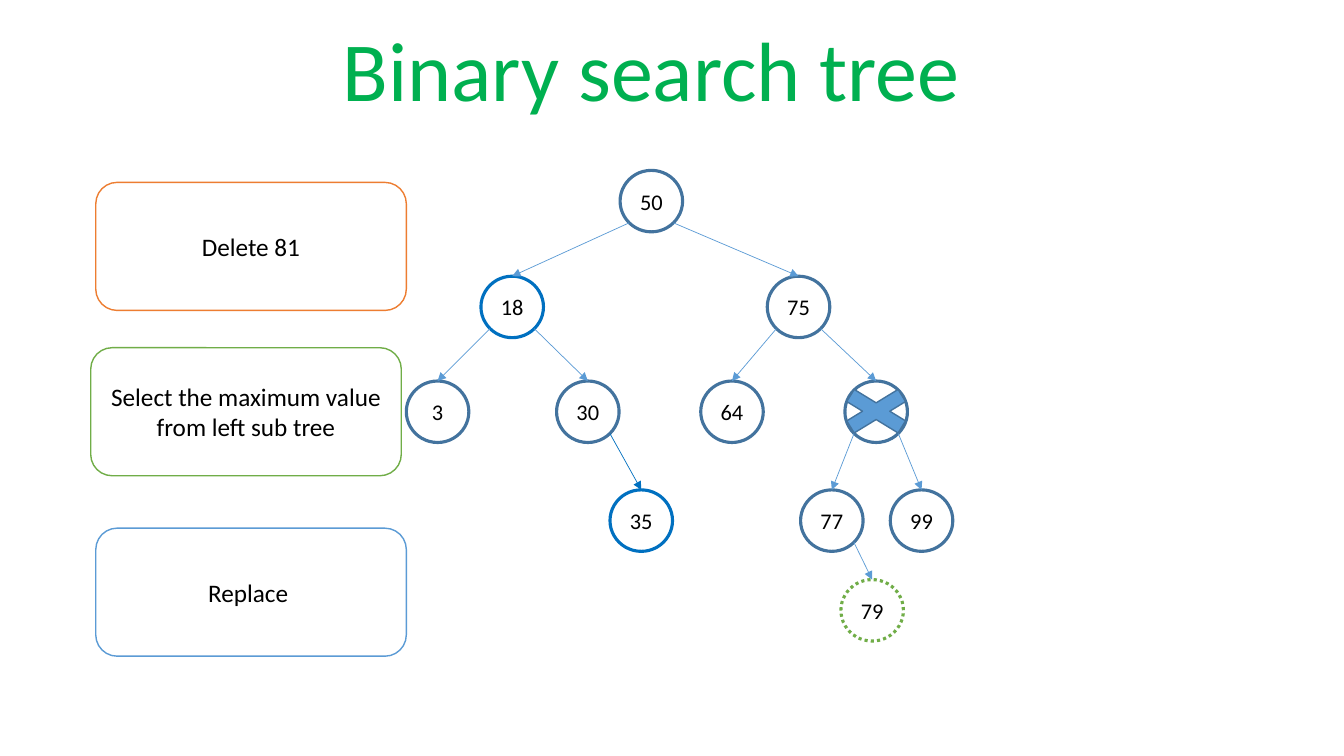
"""Build a slide on deleting a node from a binary search tree."""
import lxml.etree
import pptx
import pptx.dml.color
import pptx.enum.dml
import pptx.enum.shapes
import pptx.enum.text
import pptx.oxml.ns
import pptx.util

PX = 9144
COLORS = {
    "title": "00B050", "text": "000000", "paper": "FFFFFF", "navy": "43739E",
    "blue": "0070C0", "sky": "5B9BD5", "green": "70AD47", "orange": "ED7D31",
}
SHAPES = pptx.enum.shapes.MSO_SHAPE
CENTER = pptx.enum.text.PP_ALIGN.CENTER
NODE_W, NODE_H = 62, 61
BOX_W, BOX_H = 308, 127
CORNER = 0.146


def write(holder, text, size, color, anchor, spacing=None):
    frame = holder.text_frame
    frame.text = text
    paragraph = frame.paragraphs[0]
    formats = [
        (frame, {"word_wrap": True, "vertical_anchor": anchor}),
        (paragraph, {"alignment": CENTER, "line_spacing": spacing}),
        (paragraph.runs[0].font, {"size": pptx.util.Pt(size), "name": "Calibri"}),
    ]
    for target, values in formats:
        for attribute, value in values.items():
            setattr(target, attribute, value)
    paragraph.runs[0].font.color.rgb = pptx.dml.color.RGBColor.from_string(COLORS[color])


def draw(kind, place, fill, line, width):
    shape = slide.shapes.add_shape(kind, *(n * PX for n in place))
    shape.shadow.inherit = False
    shape.fill.solid()
    shape.fill.fore_color.rgb = pptx.dml.color.RGBColor.from_string(COLORS[fill])
    shape.line.color.rgb = pptx.dml.color.RGBColor.from_string(COLORS[line])
    shape.line.width = pptx.util.Pt(width)
    return shape


deck = pptx.Presentation()
deck.slide_width, deck.slide_height = 1333 * PX, 750 * PX
slide = deck.slides.add_slide(deck.slide_layouts[5])

title = slide.shapes.title
for attribute, length in {"left": 146, "top": 18, "width": 1000, "height": 106}.items():
    setattr(title, attribute, length * PX)
write(title, "Binary search tree", 60, "title", pptx.enum.text.MSO_ANCHOR.BOTTOM, 0.9)

level_tops = [169, 274, 378, 486, 575]
tree = [
    ("50", 615, 0, None, "navy", None),
    ("18", 477, 1, "50", "blue", "sky"),
    ("75", 761, 1, "50", "navy", "sky"),
    ("81", 838, 2, "75", "navy", "sky"),
    ("77", 794, 3, "81", "navy", "sky"),
    ("30", 552, 2, "18", "navy", "sky"),
    ("64", 695, 2, "75", "navy", "sky"),
    ("99", 883, 3, "81", "navy", "sky"),
    ("3", 403, 2, "18", "navy", "sky"),
    ("35", 605, 3, "30", "blue", "blue"),
    ("79", 834, 4, "77", "green", "sky"),
]
nodes = {}
for value, left, level, parent_value, outline, arrow_color in tree:
    node = draw(SHAPES.OVAL, (left, level_tops[level], NODE_W, NODE_H), "paper", outline, 2.25)
    write(node, value, 16, "text", pptx.enum.text.MSO_ANCHOR.MIDDLE)
    nodes[value] = node
    if parent_value is None:
        continue
    parent = nodes[parent_value]
    side = CORNER if node.left < parent.left else 1 - CORNER
    arrow = slide.shapes.add_connector(
        pptx.enum.shapes.MSO_CONNECTOR.STRAIGHT,
        parent.left + round(parent.width * side),
        parent.top + round(parent.height * (1 - CORNER)),
        node.left + node.width // 2,
        node.top,
    )
    arrow.end_connect(node, 0)
    arrow.line.color.rgb = pptx.dml.color.RGBColor.from_string(COLORS[arrow_color])
    arrow.line.width = pptx.util.Pt(0.5)
    tail = lxml.etree.SubElement(arrow.line._get_or_add_ln(), pptx.oxml.ns.qn("a:tailEnd"))
    tail.set("type", "triangle")
    lxml.etree.SubElement(arrow._element.spPr, pptx.oxml.ns.qn("a:effectLst"))

nodes["79"].line.dash_style = pptx.enum.dml.MSO_LINE.ROUND_DOT
draw(SHAPES.MATH_MULTIPLY, (820, 378, 98, 60), "sky", "navy", 1)

steps = [
    ("Delete 81", 95, 181, "orange"),
    ("Select the maximum value from left sub tree", 90, 345, "green"),
    ("Replace ", 95, 524, "sky"),
]
for step, left, top, outline in steps:
    box = draw(SHAPES.ROUNDED_RECTANGLE, (left, top, BOX_W, BOX_H), "paper", outline, 1)
    write(box, step, 18, "text", pptx.enum.text.MSO_ANCHOR.MIDDLE)

deck.save("out.pptx")
